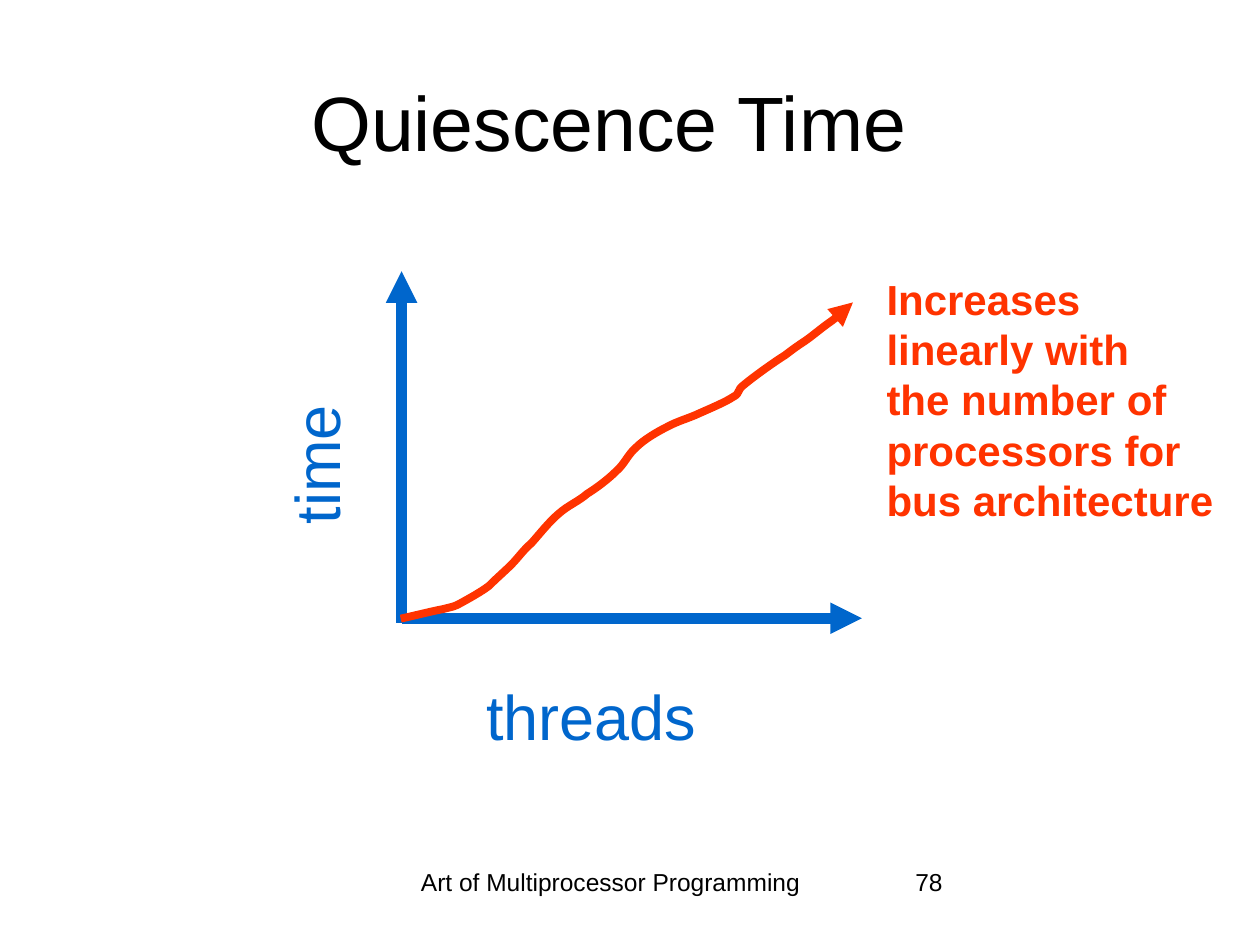
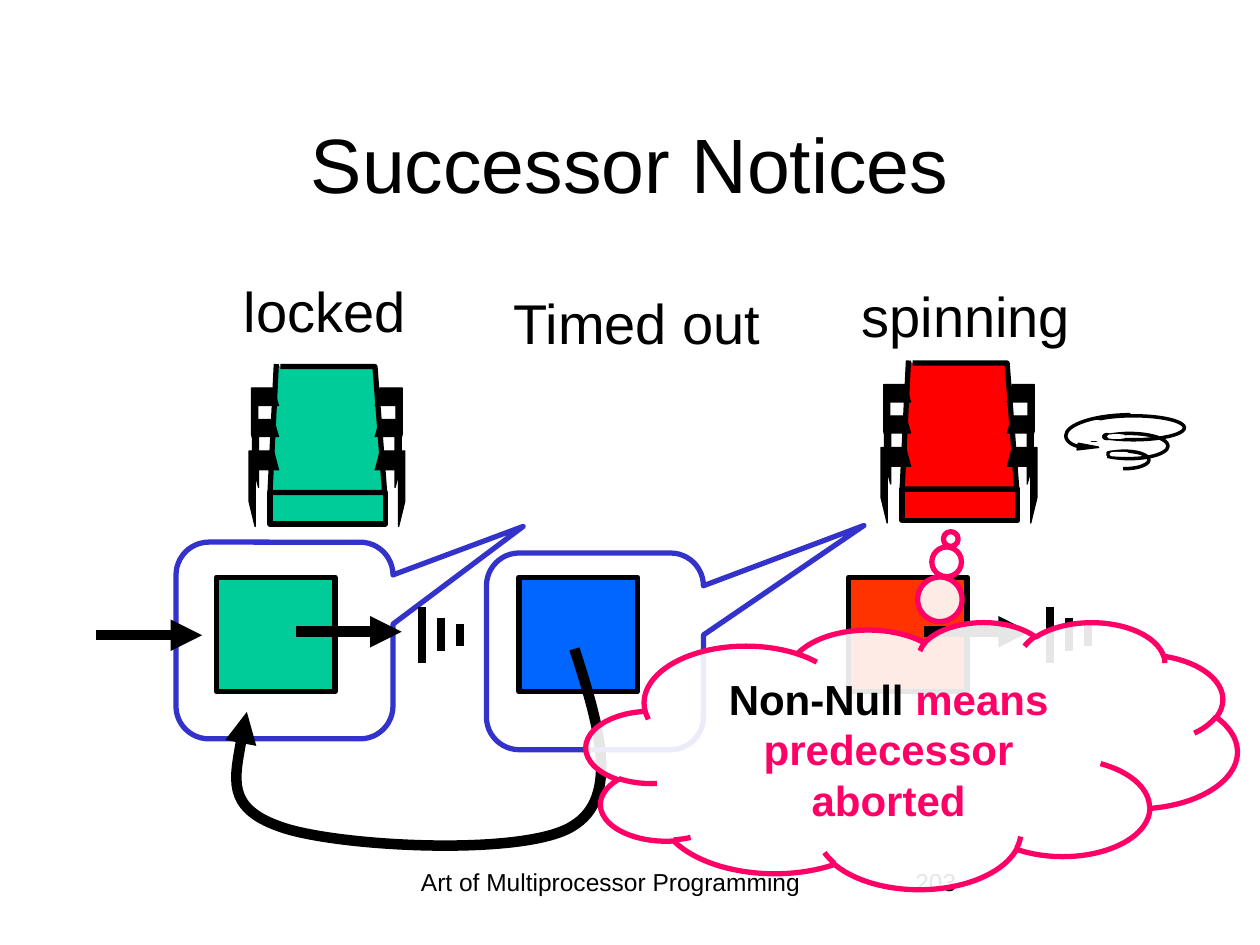
"""Build two slides on quiescence time and a queue lock with timeouts."""
from lxml.etree import SubElement
from pptx import Presentation
from pptx.dml.color import RGBColor
from pptx.enum.shapes import MSO_CONNECTOR, MSO_SHAPE
from pptx.enum.text import MSO_ANCHOR, PP_ALIGN
from pptx.oxml.ns import qn
from pptx.util import Pt

RECT, OVAL = MSO_SHAPE.RECTANGLE, MSO_SHAPE.OVAL
BUBBLE, CLOUD = MSO_SHAPE.ROUNDED_RECTANGULAR_CALLOUT, MSO_SHAPE.CLOUD_CALLOUT
LINE, POLY, CURVE = "line", "poly", "curve"
STRAIGHT = MSO_CONNECTOR.STRAIGHT
LEFT, CENTER = PP_ALIGN.LEFT, PP_ALIGN.CENTER
TOP, MIDDLE = MSO_ANCHOR.TOP, MSO_ANCHOR.MIDDLE
HUES = {
    "black": "000000", "white": "FFFFFF", "axis": "0066CC", "orange": "FF3300",
    "red": "FF0000", "green": "00CC99", "blue": "0066FF", "indigo": "3333CC",
    "pink": "FF0066",
}
HUES = {name: RGBColor.from_string(code) for name, code in HUES.items()}
FONT = "Arial"


def write(slide, box, lines, size, hue="black", bold=False, align=CENTER, anchor=TOP, wrap=True):
    """Add a text box with one paragraph for each line."""
    item = slide.shapes.add_textbox(*map(Pt, box))
    frame = item.text_frame
    frame.word_wrap = wrap
    frame.vertical_anchor = anchor
    frame.text = "\n".join(lines)
    for par in frame.paragraphs:
        par.alignment = align
        par.font.name, par.font.size, par.font.bold = FONT, Pt(size), bold
        par.font.color.rgb = HUES[hue]
    return item


def draw(slide, kind, place, fill=None, line="black", width=3, arrow=False, aim=()):
    """Add a line, polygon, curve or preset shape and style it."""
    shapes = slide.shapes
    if kind == LINE:
        item = shapes.add_connector(STRAIGHT, *map(Pt, place))
    elif kind in (POLY, CURVE):
        dots = [(Pt(x), Pt(y)) for x, y in place]
        pen = shapes.build_freeform(*dots[0])
        pen.add_line_segments(dots[1:], close=False)
        item = pen.convert_to_shape()
    else:
        item = shapes.add_shape(kind, *map(Pt, place))
    for n, part in enumerate(aim):
        item.adjustments[n] = part
    if kind == CURVE:
        way = next(item._element.iter(qn("a:path")))
        steps = way.findall(qn("a:lnTo"))
        for n in range(0, len(steps), 3):
            bend = SubElement(way, qn("a:cubicBezTo"))
            for step in steps[n:n + 3]:
                bend.append(step[0])
                way.remove(step)
    item.line.color.rgb = HUES[line]
    item.line.width = Pt(width)
    if arrow:
        SubElement(item.line._get_or_add_ln(), qn("a:tailEnd"), type="triangle")
    if kind == LINE:
        SubElement(item._element.spPr, qn("a:effectLst"))
        return item
    item.shadow.inherit = False
    if fill:
        item.fill.solid()
        item.fill.fore_color.rgb = HUES[fill]
    else:
        item.fill.background()
    return item


deck = Presentation()
deck.slide_width, deck.slide_height = Pt(720), Pt(540)
pages = []
for title, left, top, number in [
    ("Quiescence Time", 42, 24, "78"),
    ("Successor Notices", 54, 48, "203"),
]:
    page = deck.slides.add_slide(deck.slide_layouts[6])
    write(page, (208, 492, 282, 36), ["Art of Multiprocessor Programming"], 14)
    write(page, (516, 492, 150, 36), [number], 14, align=LEFT)
    write(page, (left, top, 612, 90), [title], 44, anchor=MIDDLE)
    pages.append(page)
graph, queue = pages

note = ["Increases", "linearly with", "the number of", "processors for", "bus architecture"]
write(graph, (499.5, 152.6, 203, 153), note, 24, "orange", True, LEFT, wrap=False)
for axis in [(229.5, 356, 229.5, 155), (229.5, 353.3, 492.5, 353.3)]:
    draw(graph, LINE, axis, line="axis", width=6, arrow=True)
label = write(graph, (120, 236.5, 120, 58), ["time"], 36, "axis", anchor=MIDDLE)
label.rotation = 270
write(graph, (248, 380, 180, 58), ["threads"], 36, "axis", anchor=MIDDLE)
trend = [
    (229, 353.5),
    (238, 351.5), (248, 349), (253.5, 348),
    (259, 346.5), (259, 347), (263.5, 344.5),
    (268, 342), (274.5, 338.5), (279.4, 334.8),
    (283.7, 330.5), (288.7, 326.2), (292.3, 322.6),
    (296.6, 318.2), (298.8, 314.6), (303.8, 310.3),
    (308.2, 305.3), (313.9, 298.1), (319, 293.8),
    (324.7, 288.7), (330.5, 286.6), (335.5, 282.2),
    (341.3, 278.6), (347.8, 273.6), (352.1, 269.3),
    (357.1, 265), (358.6, 259.9), (363.6, 255.6),
    (367.9, 251.3), (375.1, 247), (380.9, 244.1),
    (387.4, 240.5), (393.8, 239), (399.6, 236.2),
    (406.1, 233.3), (414.7, 229.7), (419, 226.8),
    (423.4, 224.6), (420.5, 223.2), (425.5, 219.6),
    (430.6, 215.3), (442.8, 206.6), (448.6, 203),
    (454.3, 198.7), (454.3, 198.7), (458.6, 195.8),
    (463, 193), (468, 188.6), (473, 185),
    (478.1, 181.4), (482.4, 177.1), (487.4, 172.8),
]
draw(graph, CURVE, trend, line="orange", width=4.5, arrow=True)

for word, left, top, width in [
    ("locked", 130.5, 154.6, 110),
    ("Timed out", 285.6, 161.3, 157),
    ("spinning", 484.7, 157.4, 134.6),
]:
    write(queue, (left, top, width, 46), [word], 32, wrap=False)

for left, top, hue in [(515.5, 206, "red"), (154.3, 208, "green")]:
    draw(queue, RECT, (left, top + 73.4, 66, 18), hue)
    back = [(6, 1.5), (60, 1.5), (65.5, 73.4), (0, 73.4), (3.6, 0)]
    draw(queue, POLY, [(left + x, top + y) for x, y in back], hue)
    for drop, edge, tall in [(49.7, 77, 43.2), (31.7, 75, 38.9), (13.7, 75.5, 40)]:
        arm = [
            (62.6, 0), (edge, 0), (edge, tall * 2 / 3),
            (edge - 3.5, tall), (edge - 3.5, tall / 4), (59.8, tall / 4),
        ]
        for start, side in [(0, 1), (65, -1)]:
            dots = [(left + start + side * x, top + drop + y) for x, y in arm]
            draw(queue, POLY, dots, "black", width=0.75)

draw(queue, BUBBLE, (100.6, 309.8, 124, 112.4), line="indigo", aim=(1.1, -0.58))
for left, hue in [(123.8, "green"), (296.6, "blue"), (485, "orange")]:
    draw(queue, RECT, (left, 329.8, 67.7, 65.5), hue)
for left, top in [(55, 363), (169, 361), (528, 361)]:
    draw(queue, LINE, (left, top, left + 60.5, top), width=6, arrow=True)
for left in (241, 599.8):
    for gap, high, low in [(0, 347, 379), (11, 353, 372), (22, 356.4, 369.4)]:
        draw(queue, LINE, (left + gap, high, left + gap, low), width=4.5)

for ring in [(628.6, 257.8, 28, 10), (623.5, 247.7, 44, 14.4), (618.5, 237.6, 58.3, 13.7)]:
    draw(queue, OVAL, ring, width=2)
for left, top in [
    (609, 252), (619.2, 256.3), (618.5, 260.6), (627.8, 265.7),
    (617.8, 253.4), (617, 248.4), (614.9, 245.5), (614.9, 241.2),
]:
    draw(queue, RECT, (left, top, 13, 2.9), "white", "white", 2)
for spot, hue in [
    ((632.9, 258.5, 5, 1.4), "black"),
    ((635, 259.2, 9.4, 0.7), "white"),
    ((630.7, 248.4, 3.6, 2.2), "black"),
    ((633.6, 249.1, 8.6, 0.7), "white"),
]:
    draw(queue, OVAL, spot, "white", hue, 2)
swirl = [
    (620, 255.6), (614.2, 255.6), (609, 252.7), (609, 249),
    (609, 242.6), (625.7, 237), (646, 237),
]
draw(queue, CURVE, swirl, width=2)
tip = [(616.3, 253.4), (627.8, 255.6), (615.6, 257), (616.3, 253.4)]
draw(queue, POLY, tip, "black", width=1)

link = [
    (328.3, 370.8), (342, 413.3), (355, 455.8), (326.9, 472.3),
    (298.8, 489.6), (190.8, 483.8), (159.8, 472.3),
    (128.9, 461.5), (135.4, 434.2), (141.1, 406.8),
]
draw(queue, CURVE, link, width=6, arrow=True)
draw(queue, BUBBLE, (278, 316, 124, 112.4), line="indigo", aim=(1.24, -0.64))
cloud = draw(queue, CLOUD, (335, 355.3, 372, 152.6), "white", "pink", aim=(0.06, -0.81))
tint = cloud._element.spPr.find(qn("a:solidFill"))[0]
SubElement(tint, qn("a:alpha"), val="90000")
frame = cloud.text_frame
frame.word_wrap = True
frame.vertical_anchor = MIDDLE
par = frame.paragraphs[0]
par.alignment = CENTER
par.font.name, par.font.size, par.font.bold = FONT, Pt(24), True
for words, hue in [("Non-Null", "black"), (" means predecessor aborted", "pink")]:
    run = par.add_run()
    run.text = words
    run.font.color.rgb = HUES[hue]

deck.save("out.pptx")
